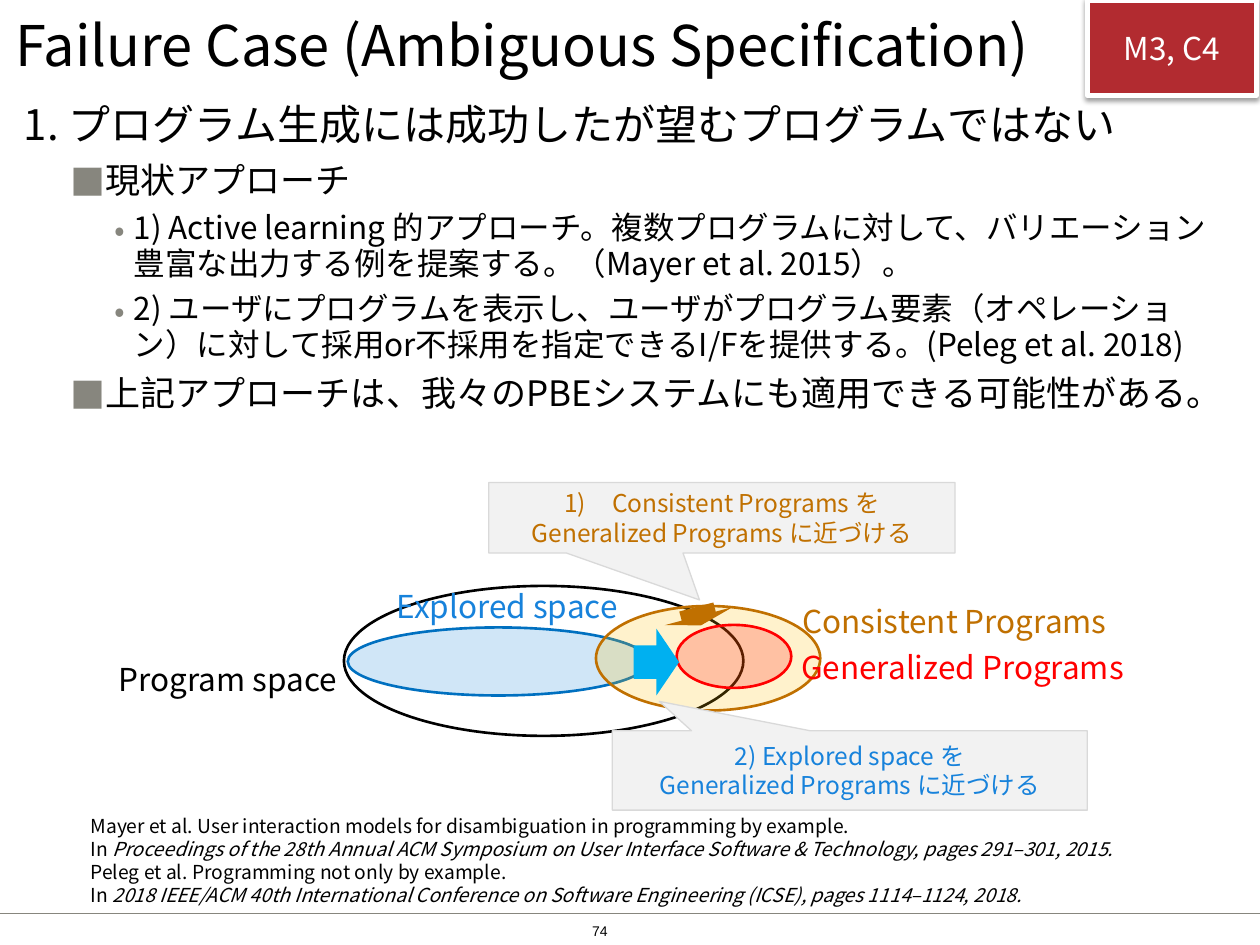
from dataclasses import dataclass

from lxml.etree import SubElement
from pptx import Presentation
from pptx.dml.color import RGBColor
from pptx.enum.shapes import MSO_CONNECTOR, MSO_SHAPE
from pptx.enum.text import MSO_ANCHOR, MSO_AUTO_SIZE, PP_ALIGN
from pptx.oxml.ns import qn
from pptx.util import Inches, Pt


@dataclass(frozen=True)
class Theme:
    font: str = "Noto Sans CJK JP"
    number_font: str = "Arial"
    black: str = "000000"
    white: str = "FFFFFF"
    gray: str = "87867E"
    blue: str = "1782DB"
    blue_line: str = "0070C0"
    cyan: str = "00B0F0"
    brown: str = "C07000"
    amber: str = "FFC000"
    red: str = "FF0000"
    badge: str = "B22B30"
    callout: str = "F2F2F2"
    callout_line: str = "D9D9D9"
    title: int = 32
    levels: tuple = (24, 20, 18)
    label: int = 18
    note: int = 14
    reference: int = 11
    number: int = 8


T = Theme()


def write(p, text, size=T.label, color=T.black, font=T.font, italic=None, align=None):
    """Add one formatted run to a paragraph, for Latin and East Asian text alike."""
    r = p.add_run()
    r.text = text
    r.font.size = Pt(size)
    r.font.name = font
    r.font.italic = italic
    r.font.color.rgb = RGBColor.from_string(color)
    SubElement(r.font._element, qn("a:ea"), typeface=font)
    if align is not None:
        p.alignment = align


def add_shape(kind, box, fill=None, line=None, width=1.5, alpha=None):
    s = slide.shapes.add_shape(kind, *map(Inches, box))
    s.shadow.inherit = False
    if fill:
        s.fill.solid()
        s.fill.fore_color.rgb = RGBColor.from_string(fill)
    else:
        s.fill.background()
    if alpha:
        color = s._element.spPr.find(qn("a:solidFill"))[0]
        SubElement(color, qn("a:alpha"), val=str(alpha * 1000))
    if line:
        s.line.color.rgb = RGBColor.from_string(line)
        s.line.width = Pt(width)
    else:
        s.line.fill.background()
    s.text_frame.word_wrap = False
    s.text_frame.vertical_anchor = MSO_ANCHOR.MIDDLE
    return s


prs = Presentation()
prs.slide_width, prs.slide_height = Inches(10), Inches(7.5)
slide = prs.slides.add_slide(prs.slide_layouts[1])

# Footer rule
rule = slide.shapes.add_connector(
    MSO_CONNECTOR.STRAIGHT, Inches(0), Inches(7.25), Inches(10), Inches(7.25))
rule.line.color.rgb = RGBColor.from_string(T.gray)
rule.line.width = Pt(1)
SubElement(rule._element.spPr, qn("a:effectLst"))

# Title and body placeholders
title, body = slide.shapes.title, slide.placeholders[1]
for ph, box, anchor in (
    (title, (0.12, -0.03, 8.59, 0.76), MSO_ANCHOR.MIDDLE),
    (body, (0.19, 0.81, 9.61, 3.09), MSO_ANCHOR.TOP),
):
    ph.left, ph.top, ph.width, ph.height = map(Inches, box)
    tf = ph.text_frame
    tf.margin_left = tf.margin_top = tf.margin_right = tf.margin_bottom = 0
    tf.word_wrap = True
    tf.auto_size = MSO_AUTO_SIZE.NONE
    tf.vertical_anchor = anchor
write(title.text_frame.paragraphs[0], "Failure Case (Ambiguous Specification)",
      size=T.title, align=PP_ALIGN.LEFT)

bullets = ((0, 0, None), (0.64, -0.27, "■"), (0.87, -0.15, "•"))
tf = body.text_frame
for i, (level, text) in enumerate((
    (0, "1. プログラム生成には成功したが望むプログラムではない"),
    (1, "現状アプローチ"),
    (2, "1) Active learning 的アプローチ。複数プログラムに対して、バリエーション"
        "豊富な出力する例を提案する。（Mayer et al. 2015）。"),
    (2, "2) ユーザにプログラムを表示し、ユーザがプログラム要素（オペレーション）"
        "に対して採用or不採用を指定できるI/Fを提供する。(Peleg et al. 2018)"),
    (1, "上記アプローチは、我々のPBEシステムにも適用できる可能性がある。"),
)):
    p = tf.add_paragraph() if i else tf.paragraphs[0]
    margin, indent, bullet = bullets[level]
    size = T.levels[level]
    p.level = level
    pPr = p._p.get_or_add_pPr()
    pPr.set("marL", str(Inches(margin)))
    pPr.set("indent", str(Inches(indent)))
    if bullet:
        SubElement(SubElement(pPr, qn("a:buClr")), qn("a:srgbClr"), val=T.gray)
        SubElement(pPr, qn("a:buFont"), typeface=T.font)
        SubElement(pPr, qn("a:buChar"), char=bullet)
    else:
        SubElement(pPr, qn("a:buNone"))
    p.line_spacing = 0.95
    p.space_before = Pt(size * 0.2 if i else 0)
    p.space_after = Pt(size * 0.1)
    write(p, text, size=size)

# Overlapping program spaces
for box, fill, line in (
    ((2.73, 4.65, 3.17, 1.19), None, T.black),
    ((2.76, 4.98, 2.39, 0.54), T.blue, T.blue_line),
    ((4.73, 4.81, 1.78, 0.83), T.amber, T.brown),
    ((5.37, 4.96, 0.91, 0.5), T.red, T.red),
):
    add_shape(MSO_SHAPE.OVAL, box, fill, line, alpha=20 if fill else None)

for text, box, color in (
    ("Program space", (0.79, 5.19, 2.04, 0.4), T.black),
    ("Explored space", (3, 4.61, 2.05, 0.4), T.blue),
    ("Consistent Programs", (6.2, 4.73, 2.75, 0.4), T.brown),
    ("Generalized Programs", (6.19, 5.09, 2.9, 0.4), T.red),
):
    tf = slide.shapes.add_textbox(*map(Inches, box)).text_frame
    tf.word_wrap = False
    write(tf.paragraphs[0], text, color=color, align=PP_ALIGN.CENTER)

add_shape(MSO_SHAPE.RIGHT_ARROW, (5.03, 4.99, 0.36, 0.53), T.cyan)
add_shape(MSO_SHAPE.RIGHT_ARROW, (5.47, 4.61, 0.15, 0.56), T.brown).rotation = 75.1

# Callouts
for box, tip, color, numbered, first in (
    ((3.88, 3.83, 3.7, 0.56), (-0.048, 1.165), T.brown, True, "Consistent Programs を"),
    ((4.86, 5.8, 3.77, 0.63), (-0.401, -0.87), T.blue, False, "2) Explored space を"),
):
    s = add_shape(MSO_SHAPE.RECTANGULAR_CALLOUT, box, T.callout, T.callout_line, 0.75)
    s.adjustments[0], s.adjustments[1] = tip
    tf = s.text_frame
    p = tf.paragraphs[0]
    if numbered:
        pPr = p._p.get_or_add_pPr()
        pPr.set("marL", str(Inches(0.38)))
        pPr.set("indent", str(Inches(-0.38)))
        SubElement(SubElement(pPr, qn("a:buClr")), qn("a:srgbClr"), val=color)
        SubElement(pPr, qn("a:buFont"), typeface=T.font)
        SubElement(pPr, qn("a:buAutoNum"), type="arabicParenR")
    write(p, first, size=T.note, color=color, align=PP_ALIGN.CENTER)
    write(tf.add_paragraph(), "Generalized Programs に近づける",
          size=T.note, color=color, align=PP_ALIGN.CENTER)

# References
tf = slide.shapes.add_textbox(Inches(0.62), Inches(6.41), Inches(9.05), Inches(0.84)).text_frame
tf.word_wrap = False
p = tf.paragraphs[0]
for i, (paper, venue) in enumerate((
    ("Mayer et al. User interaction models for disambiguation in programming by example.",
     "Proceedings of the 28th Annual ACM Symposium on User Interface Software & Technology, "
     "pages 291–301, 2015."),
    ("Peleg et al. Programming not only by example.",
     "2018 IEEE/ACM 40th International Conference on Software Engineering (ICSE), "
     "pages 1114–1124, 2018."),
)):
    write(tf.add_paragraph() if i else p, paper, size=T.reference)
    p = tf.add_paragraph()
    write(p, "In ", size=T.reference)
    write(p, venue, size=T.reference, italic=True)

# Badge with a soft shadow below
badge = add_shape(MSO_SHAPE.RECTANGLE, (8.63, 0, 1.34, 0.76), T.badge, T.white, 3)
shadow = SubElement(badge._element.spPr.find(qn("a:effectLst")), qn("a:outerShdw"),
                    blurRad=str(Pt(3.1)), dist=str(Pt(1.6)), dir="5400000", rotWithShape="0")
SubElement(SubElement(shadow, qn("a:srgbClr"), val=T.black), qn("a:alpha"), val="38000")
write(badge.text_frame.paragraphs[0], "M3, C4", color=T.white, align=PP_ALIGN.CENTER)

# Slide number
tf = slide.shapes.add_textbox(Inches(4.7), Inches(7.28), Inches(0.59), Inches(0.22)).text_frame
tf.margin_left = tf.margin_top = tf.margin_right = tf.margin_bottom = 0
tf.word_wrap = True
tf.vertical_anchor = MSO_ANCHOR.MIDDLE
write(tf.paragraphs[0], "74", size=T.number, font=T.number_font)

prs.save("out.pptx")
